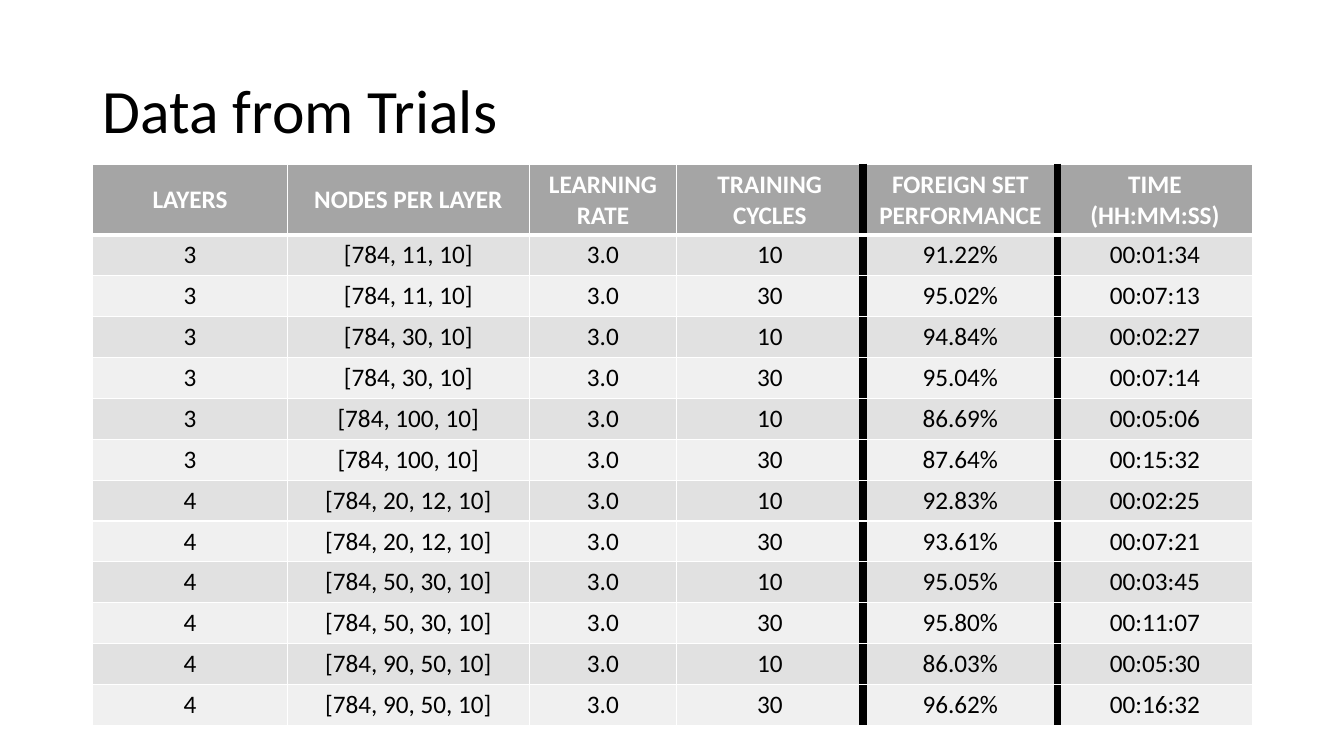
from lxml.etree import SubElement
from pptx import Presentation
from pptx.dml.color import RGBColor
from pptx.enum.text import MSO_ANCHOR as Anchor, PP_ALIGN as Align
from pptx.oxml.ns import qn
from pptx.util import Inches, Pt

HEADINGS = ["LAYERS", "NODES PER LAYER", "LEARNING RATE", "TRAINING CYCLES",
            "FOREIGN SET PERFORMANCE", "TIME (HH:MM:SS)"]
COLUMN_WIDTHS = [1.93, 2.4, 1.46, 1.85, 1.93, 1.93]
TABLE_HEIGHT, HEADER_HEIGHT = 5.57, 0.7
DIVIDED_COLUMNS = (3, 4)
LEARNING_RATE = "3.0"
TRIALS = [
    ("3", "[784, 11, 10]", "10", "91.22%", "00:01:34"),
    ("3", "[784, 11, 10]", "30", "95.02%", "00:07:13"),
    ("3", "[784, 30, 10]", "10", "94.84%", "00:02:27"),
    ("3", "[784, 30, 10]", "30", "95.04%", "00:07:14"),
    ("3", "[784, 100, 10]", "10", "86.69%", "00:05:06"),
    ("3", "[784, 100, 10]", "30", "87.64%", "00:15:32"),
    ("4", "[784, 20, 12, 10]", "10", "92.83%", "00:02:25"),
    ("4", "[784, 20, 12, 10]", "30", "93.61%", "00:07:21"),
    ("4", "[784, 50, 30, 10]", "10", "95.05%", "00:03:45"),
    ("4", "[784, 50, 30, 10]", "30", "95.80%", "00:11:07"),
    ("4", "[784, 90, 50, 10]", "10", "86.03%", "00:05:30"),
    ("4", "[784, 90, 50, 10]", "30", "96.62%", "00:16:32"),
]


def color(value):
    return RGBColor.from_string(value)


class SlideBuilder:
    """Holds the style and the current slide, and adds elements to it."""

    font = "Calibri"
    black, white = "000000", "FFFFFF"
    header_fill = "A5A5A5"
    band_fills = ("E1E1E1", "F0F0F0")

    def __init__(self, page):
        self.page = page

    def style(self, para, size, tint, bold=False):
        para.font.name = self.font
        para.font.size = Pt(size)
        para.font.bold = bold
        para.font.color.rgb = color(tint)

    def title(self, text, left, top, width, height):
        box = self.page.shapes.add_textbox(Inches(left), Inches(top), Inches(width), Inches(height))
        frame = box.text_frame
        frame.word_wrap = True
        frame.vertical_anchor = Anchor.MIDDLE
        para = frame.paragraphs[0]
        para.text = text
        para.line_spacing = 0.9
        self.style(para, 44, self.black)

    def border(self, cell, side, tint, points):
        line = SubElement(cell._tc.get_or_add_tcPr(), qn(f"a:ln{side}"), w=str(Pt(points)))
        fill = SubElement(line, qn("a:solidFill"))
        SubElement(fill, qn("a:srgbClr"), val=tint)

    def cell(self, cell, text, row, column):
        header = row == 0
        thin, divider = (self.white, 1), (self.black, 6)
        below_header = (self.white, 3)
        self.border(cell, "L", *(divider if column - 1 in DIVIDED_COLUMNS else thin))
        self.border(cell, "R", *(divider if column in DIVIDED_COLUMNS else thin))
        self.border(cell, "T", *(below_header if row == 1 else thin))
        self.border(cell, "B", *(below_header if header else thin))
        cell.fill.solid()
        cell.fill.fore_color.rgb = color(self.header_fill if header else self.band_fills[(row - 1) % 2])
        cell.vertical_anchor = Anchor.MIDDLE
        para = cell.text_frame.paragraphs[0]
        para.text = text
        para.alignment = Align.CENTER
        self.style(para, 18, self.white if header else self.black, header)

    def table(self, rows, left, top):
        frame = self.page.shapes.add_table(len(rows), len(COLUMN_WIDTHS), Inches(left), Inches(top),
                                           Inches(sum(COLUMN_WIDTHS)), Inches(TABLE_HEIGHT))
        table = frame.table
        for column, width in zip(table.columns, COLUMN_WIDTHS):
            column.width = Inches(width)
        trial_height = (TABLE_HEIGHT - HEADER_HEIGHT) / (len(rows) - 1)
        for row, texts in enumerate(rows):
            table.rows[row].height = Inches(trial_height if row else HEADER_HEIGHT)
            for column, text in enumerate(texts):
                self.cell(table.cell(row, column), text, row, column)


def main():
    deck = Presentation()
    deck.slide_width, deck.slide_height = Inches(13.33), Inches(7.5)
    builder = SlideBuilder(deck.slides.add_slide(deck.slide_layouts[6]))
    builder.title("Data from Trials", 0.92, 0.4, 11.5, 1.45)
    trials = [(layers, nodes, LEARNING_RATE, *results) for layers, nodes, *results in TRIALS]
    builder.table([HEADINGS, *trials], 0.92, 1.63)
    deck.save("out.pptx")


if __name__ == "__main__":
    main()
